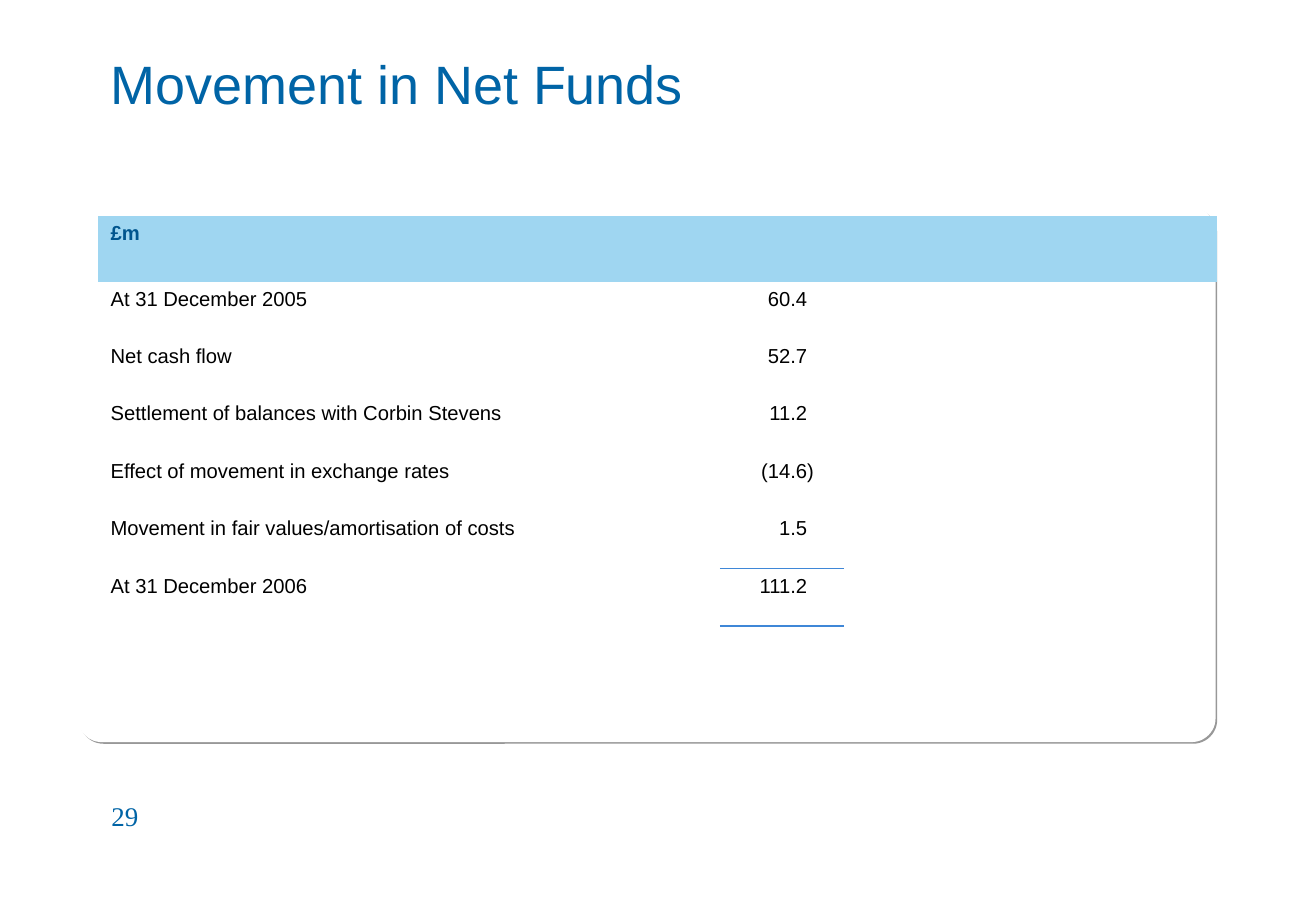
import lxml.etree
import pptx
import pptx.dml.color
import pptx.enum.shapes
import pptx.enum.text
import pptx.oxml
import pptx.oxml.ns
import pptx.util

Cm = pptx.util.Cm
Pt = pptx.util.Pt
qn = pptx.oxml.ns.qn
RGBColor = pptx.dml.color.RGBColor

WHITE = RGBColor(0xFF, 0xFF, 0xFF)
BLACK = RGBColor(0x00, 0x00, 0x00)
TITLE_BLUE = RGBColor(0x00, 0x64, 0xA6)
HEADER_TEXT = RGBColor(0x00, 0x55, 0x8E)
HEADER_FILL = RGBColor(0x9F, 0xD6, 0xF1)
RULE_BLUE = RGBColor(0x3F, 0x87, 0xD7)
SHADOW_GREY = RGBColor(0x98, 0x98, 0x98)

PLAIN_TABLE_STYLE = "{2D5ABB26-0587-4C30-8999-92F81FD0307C}"
COLUMN_COUNT = 9
LABEL_SPAN = 4
VALUE_COLUMN = 5
HEADER_HEIGHT = Cm(1.37)
ROW_HEIGHT = Cm(1.2)
DECIMAL_TAB = Cm(1.22)

UNIT = "£m"
MOVEMENTS = [
    ("At 31 December 2005", "60.4"),
    ("Net cash flow", "52.7"),
    ("Settlement of balances with Corbin Stevens", "11.2"),
    ("Effect of movement in exchange rates", "(14.6)"),
    ("Movement in fair values/amortisation of costs", "1.5"),
    ("At 31 December 2006", "111.2"),
]


def add_run(para, text, size, color, font="Arial", bold=False):
    span = para.add_run()
    span.text = text
    span.font.name = font
    span.font.size = Pt(size)
    span.font.bold = bold
    span.font.color.rgb = color


def add_text(page, left, top, width, height, text, size, font):
    box = page.shapes.add_textbox(left, top, width, height)
    frame = box.text_frame
    frame.word_wrap = True
    add_run(frame.paragraphs[0], text, size, TITLE_BLUE, font)
    return frame


def add_title(page, left, top, width, height):
    frame = add_text(page, left, top, width, height, "Movement in Net Funds", 32, "Arial")
    frame.vertical_anchor = pptx.enum.text.MSO_ANCHOR.MIDDLE


def add_card(page, left, top, width, height):
    card = page.shapes.add_shape(
        pptx.enum.shapes.MSO_SHAPE.ROUNDED_RECTANGLE, left, top, width, height)
    card.adjustments[0] = 0.045
    card.fill.solid()
    card.fill.fore_color.rgb = WHITE
    card.line.fill.background()
    card.shadow.inherit = False
    effects = card._element.spPr.find(qn("a:effectLst"))
    shadow = lxml.etree.SubElement(
        effects, qn("a:outerShdw"), dist=str(Pt(1.4)), dir=str(45 * 60000), algn="ctr")
    lxml.etree.SubElement(shadow, qn("a:srgbClr"), val=str(SHADOW_GREY))


def add_border(cell, side, width):
    properties = cell._tc.get_or_add_tcPr()
    line = pptx.oxml.parse_xml(
        f'<a:{side} {pptx.oxml.ns.nsdecls("a")} w="{Pt(width)}"><a:solidFill>'
        f'<a:srgbClr val="{RULE_BLUE}"/></a:solidFill></a:{side}>')
    borders = [child for child in properties if child.tag.startswith(qn("a:ln"))]
    properties.insert(len(borders), line)


def add_value(cell, value):
    para = cell.text_frame.paragraphs[0]
    tabs = lxml.etree.SubElement(para._p.get_or_add_pPr(), qn("a:tabLst"))
    lxml.etree.SubElement(tabs, qn("a:tab"), pos=str(DECIMAL_TAB), algn="dec")
    add_run(para, "\t" + value, 12, BLACK)


def add_funds_table(page, left, top, width):
    row_count = len(MOVEMENTS) + 1
    height = HEADER_HEIGHT + ROW_HEIGHT * len(MOVEMENTS)
    frame = page.shapes.add_table(row_count, COLUMN_COUNT, left, top, width, height)
    table = frame.table
    table.first_row = False
    table.horz_banding = False
    table._tbl.tblPr.find(qn("a:tableStyleId")).text = PLAIN_TABLE_STYLE
    for column in table.columns:
        column.width = width // COLUMN_COUNT
    for index, row in enumerate(table.rows):
        row.height = ROW_HEIGHT if index else HEADER_HEIGHT
        for cell in row.cells:
            if index:
                cell.fill.background()
            else:
                cell.fill.solid()
                cell.fill.fore_color.rgb = HEADER_FILL

    add_run(table.cell(0, 0).text_frame.paragraphs[0], UNIT, 12, HEADER_TEXT, bold=True)
    for index, (label, value) in enumerate(MOVEMENTS, start=1):
        label_cell = table.cell(index, 0)
        label_cell.merge(table.cell(index, LABEL_SPAN - 1))
        add_run(label_cell.text_frame.paragraphs[0], label, 12, BLACK)
        add_value(table.cell(index, VALUE_COLUMN), value)

    total = table.cell(row_count - 1, VALUE_COLUMN)
    add_border(table.cell(row_count - 2, VALUE_COLUMN), "lnB", 0.45)
    add_border(total, "lnT", 0.45)
    add_border(total, "lnB", 1.08)


def add_page_number(page, left, top, width, height):
    add_text(page, left, top, width, height, "29", 16, "Times New Roman")


def main():
    deck = pptx.Presentation()
    deck.slide_width = Cm(27.53)
    deck.slide_height = Cm(19.05)
    page = deck.slides.add_slide(deck.slide_layouts[6])
    add_card(page, Cm(1.63), Cm(4.34), Cm(23.8), Cm(11.18))
    add_title(page, Cm(2.06), Cm(0.15), Cm(23.4), Cm(3.18))
    add_funds_table(page, Cm(2.06), Cm(4.52), Cm(23.4))
    add_page_number(page, Cm(2.08), Cm(16.59), Cm(5.74), Cm(1.27))
    deck.save("out.pptx")


if __name__ == "__main__":
    main()
